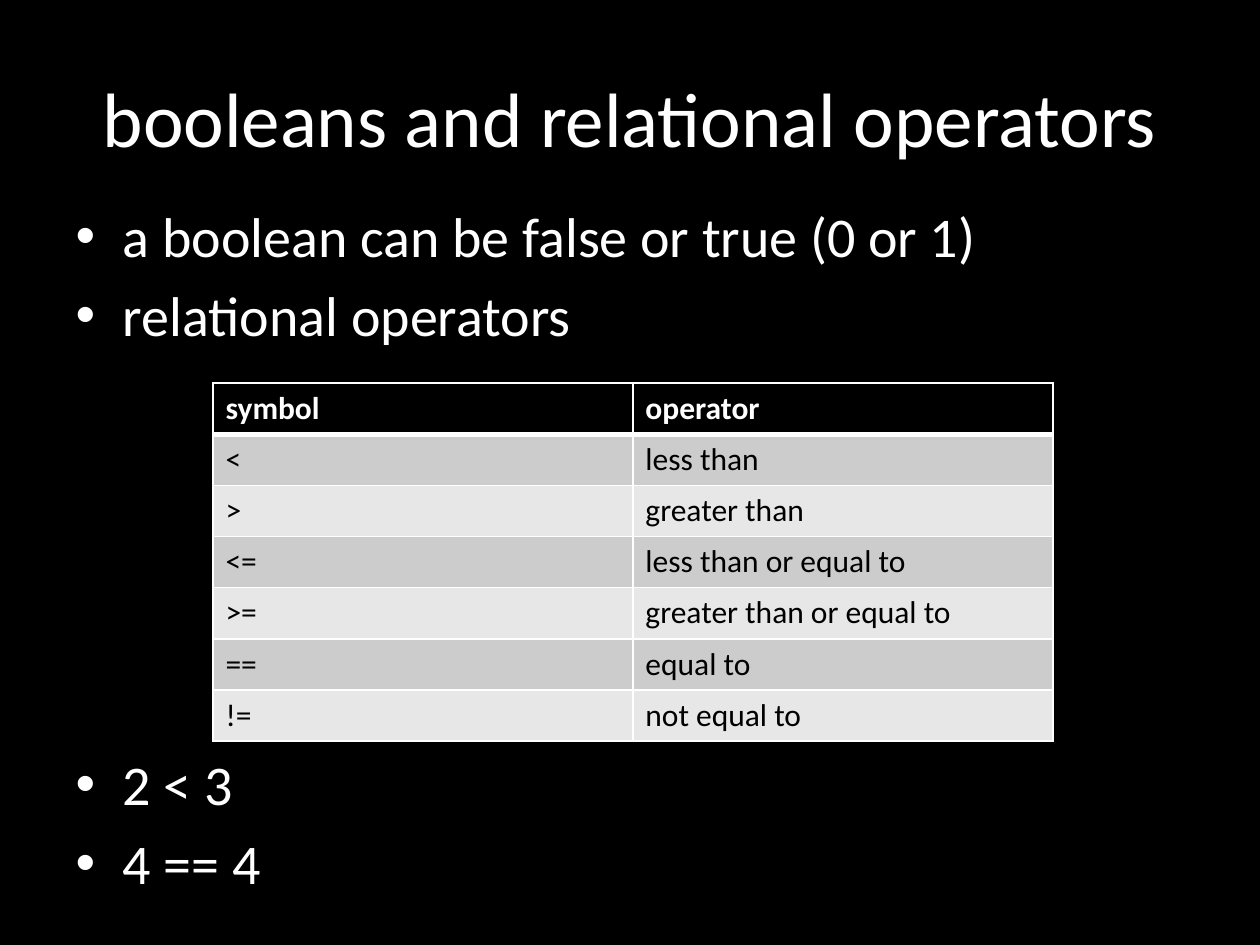
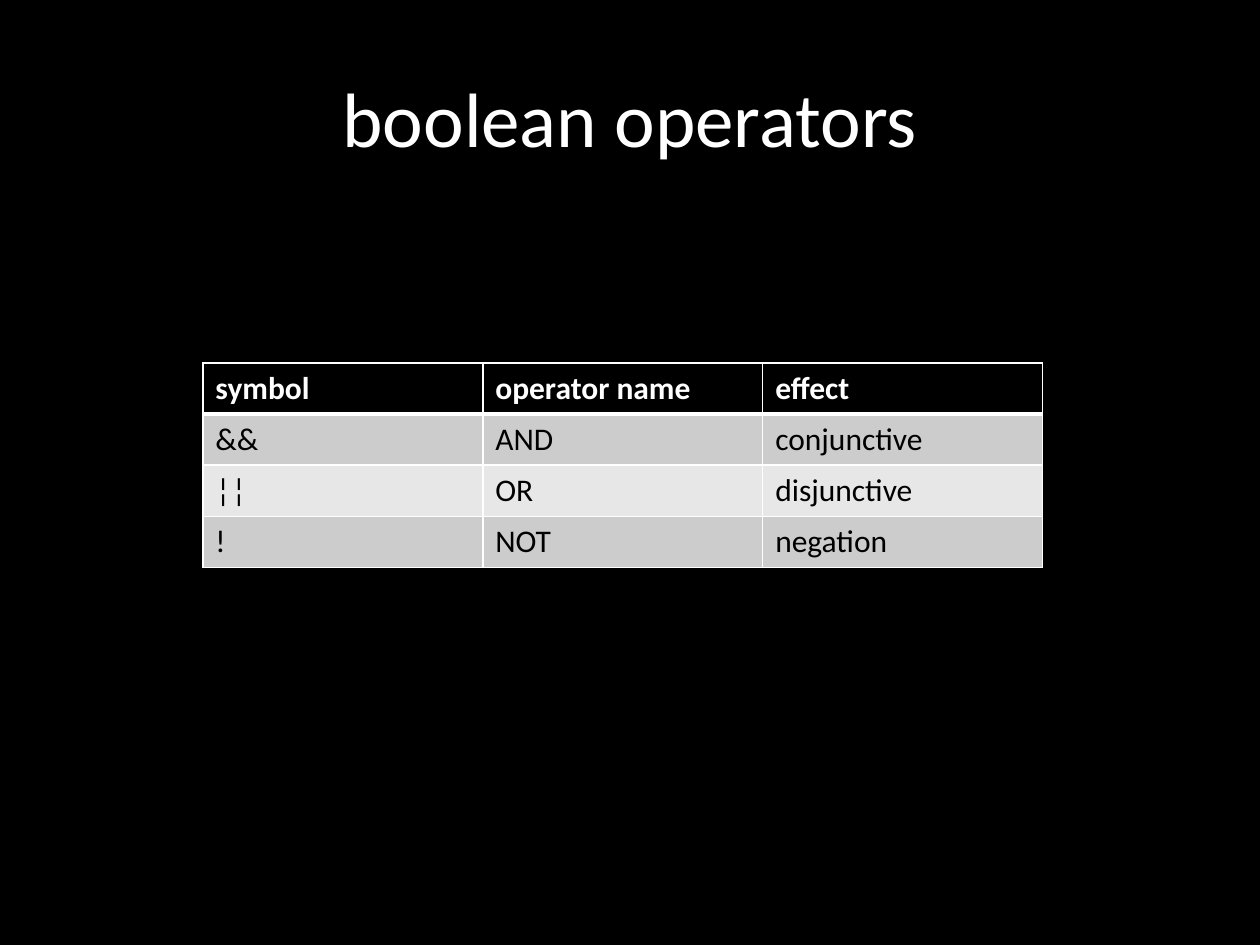
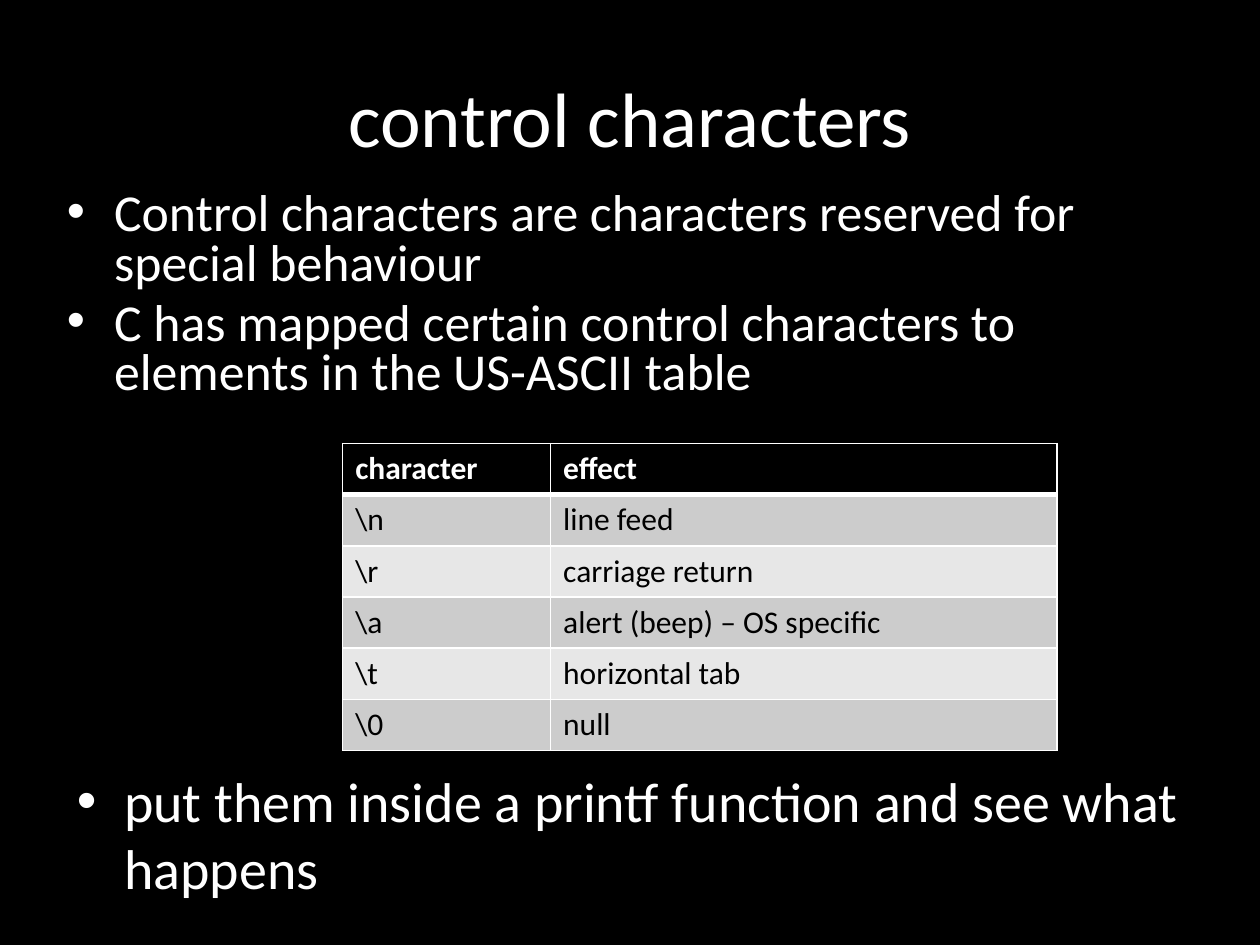
from lxml import etree
from pptx import Presentation
from pptx import util as u
from pptx.dml.color import RGBColor
from pptx.enum import text
from pptx.oxml import ns

COLORS = {"background": "000000", "light": "FFFFFF", "dark": "000000",
          "odd_row": "CCCCCC", "even_row": "E7E7E7"}
FONT = "Calibri"
TITLE_SIZE, LIST_SIZE, CELL_SIZE = 44, 32, 18
TITLE_BOX = (5, 3, 90, 12.5)  # left, top, width, height in grid units
TABLE_ROW = 4.06

presentation = Presentation()
presentation.slide_width, presentation.slide_height = u.Inches(10), u.Inches(7.5)
COLUMN = presentation.slide_width / 100
ROW = presentation.slide_height / 75

# Shared background
background = presentation.slide_master.background.fill
background.solid()
background.fore_color.rgb = RGBColor.from_string(COLORS["background"])


def write(paragraph, words, size=LIST_SIZE, color="light", bold=False,
          align=None, line_spacing=None, space_before=None):
    run = paragraph.add_run()
    run.text = words
    run.font.name, run.font.size, run.font.bold = FONT, u.Pt(size), bold
    run.font.color.rgb = RGBColor.from_string(COLORS[color])
    paragraph.alignment = align
    paragraph.line_spacing = line_spacing
    if space_before is not None:
        paragraph.space_before = u.Pt(space_before)


def place(shape, box):
    left, top, width, height = box
    shape.left, shape.width = int(left * COLUMN), int(width * COLUMN)
    shape.top, shape.height = int(top * ROW), int(height * ROW)
    shape.text_frame.auto_size = text.MSO_AUTO_SIZE.NONE
    shape.text_frame.word_wrap = True


# Content: each list is a box and its items, each item has words and format
SLIDES = [
    {"title": "booleans and relational operators",
     "layout": 1,
     "lists": [((5, 15.5, 90, 59.5), [
         ("a boolean can be false or true (0 or 1)", {}),
         ("relational operators", {}),
         ("2 < 3", {"space_before": 230}),  # leaves room for the table
         ("4 == 4", {})])],
     "table_at": (16.9, 30.4),
     "columns": (33.33, 33.33),
     "rows": [("symbol", "operator"),
              ("<", "less than"),
              (">", "greater than"),
              ("<=", "less than or equal to"),
              (">=", "greater than or equal to"),
              ("==", "equal to"),
              ("!=", "not equal to")]},
    {"title": "boolean operators",
     "layout": 5,
     "lists": [],
     "table_at": (16.1, 28.8),
     "columns": (22.22, 22.22, 22.22),
     "rows": [("symbol", "operator name", "effect"),
              ("&&", "AND", "conjunctive"),
              ("¦¦", "OR", "disjunctive"),
              ("!", "NOT", "negation")]},
    {"title": "control characters",
     "layout": 3,
     "lists": [((4.3, 14.7, 90, 18.9), [
         ("Control characters are characters reserved for special behaviour",
          {"size": 29.6, "line_spacing": 0.8}),
         ("C has mapped certain control characters to elements in the US-ASCII table",
          {"size": 29.6, "line_spacing": 0.8})]),
         ((5.1, 60.3, 90, 12.6), [
             ("put them inside a printf function and see what happens", {})])],
     "table_at": (27.2, 35.2),
     "columns": (16.5, 40.2),
     "rows": [("character", "effect"),
              ("\\n", "line feed"),
              ("\\r", "carriage return"),
              ("\\a", "alert (beep) – OS specific"),
              ("\\t", "horizontal tab"),
              ("\\0", "null")]},
]

for content in SLIDES:
    slide = presentation.slides.add_slide(
        presentation.slide_layouts[content["layout"]])

    # Title
    title = slide.shapes.title
    place(title, TITLE_BOX)
    title.text_frame.vertical_anchor = text.MSO_ANCHOR.MIDDLE
    write(title.text_frame.paragraphs[0], content["title"], size=TITLE_SIZE,
          align=text.PP_ALIGN.CENTER)

    # Bulleted lists
    bodies = list(slide.placeholders)[1:]
    for body, (box, items) in zip(bodies, content["lists"]):
        place(body, box)
        frame = body.text_frame
        for index, (words, options) in enumerate(items):
            paragraph = frame.add_paragraph() if index else frame.paragraphs[0]
            write(paragraph, words, **options)

    # Table
    left, top = content["table_at"]
    widths, rows = content["columns"], content["rows"]
    table = slide.shapes.add_table(
        len(rows), len(widths), int(left * COLUMN), int(top * ROW),
        int(sum(widths) * COLUMN), int(len(rows) * TABLE_ROW * ROW)).table
    for column, width in zip(table.columns, widths):
        column.width = int(width * COLUMN)
    for row_index, row in enumerate(rows):
        table.rows[row_index].height = int(TABLE_ROW * ROW)
        header = row_index == 0
        fill = "background" if header else "odd_row" if row_index % 2 else "even_row"
        for column_index, words in enumerate(row):
            cell = table.cell(row_index, column_index)
            write(cell.text_frame.paragraphs[0], words, size=CELL_SIZE,
                  color="light" if header else "dark", bold=header)

            # Thin white borders, with a thick rule under the header
            properties = cell._tc.get_or_add_tcPr()
            thick = {0: "lnB", 1: "lnT"}.get(row_index)
            for side in ("lnL", "lnR", "lnT", "lnB"):
                line = etree.SubElement(properties, ns.qn(f"a:{side}"),
                                        w=str(u.Pt(3 if side == thick else 1)))
                solid = etree.SubElement(line, ns.qn("a:solidFill"))
                etree.SubElement(solid, ns.qn("a:srgbClr"), val=COLORS["light"])
            cell.fill.solid()
            cell.fill.fore_color.rgb = RGBColor.from_string(COLORS[fill])

presentation.save("out.pptx")
